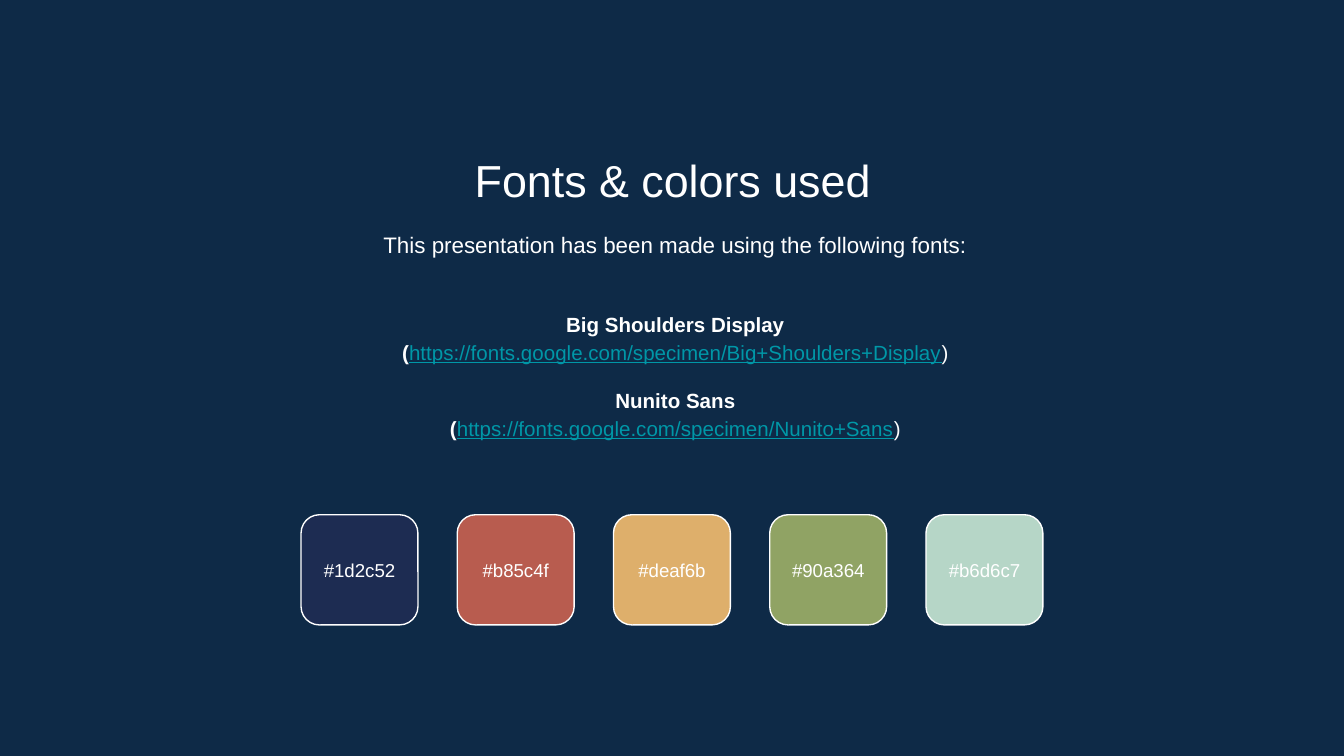
from pptx import Presentation
from pptx.dml.color import RGBColor
from pptx.enum.shapes import MSO_SHAPE
from pptx.enum.text import MSO_ANCHOR, PP_ALIGN
from pptx.util import Inches, Pt

TITLE = "Fonts & colors used"
INTRO = "This presentation has been made using the following fonts:"
FONTS = [
    ("Big Shoulders Display", "https://fonts.google.com/specimen/Big+Shoulders+Display"),
    ("Nunito Sans", "https://fonts.google.com/specimen/Nunito+Sans"),
]
SWATCHES = ["#1d2c52", "#b85c4f", "#deaf6b", "#90a364", "#b6d6c7"]
COLORS = {"back": "0E2A47", "text": "FFFFFF", "link": "0097A7"}

FIRST, LAST = 2.24, 6.89
STEP = (LAST - FIRST) / (len(SWATCHES) - 1)
TOP, WIDE, HIGH = 3.83, 0.87, 0.82
LABEL = 0.48


def rgb(code):
    return RGBColor.from_string(code.lstrip("#").upper())


def add_box(slide, left, top, wide, high, anchor=MSO_ANCHOR.TOP):
    """Add a text box and return its text frame."""
    box = slide.shapes.add_textbox(Inches(left), Inches(top), Inches(wide), Inches(high))
    frame = box.text_frame
    frame.word_wrap = True
    frame.vertical_anchor = anchor
    frame.margin_left = frame.margin_right = Inches(0.1)
    frame.margin_top = frame.margin_bottom = Inches(0.1)
    return frame


def style(para, size, spacing=1.0):
    para.alignment = PP_ALIGN.CENTER
    para.line_spacing = spacing
    para.font.name = "Arial"
    para.font.size = Pt(size)
    para.font.color.rgb = rgb(COLORS["text"])


def add_line(frame, text, size, spacing=1.0):
    para = frame.paragraphs[0]
    para.text = text
    style(para, size, spacing)


def add_run(para, text, bold=False):
    run = para.add_run()
    run.text = text
    run.font.bold = bold
    return run


def add_fonts(frame):
    for i, (name, url) in enumerate(FONTS):
        head = frame.add_paragraph() if i else frame.paragraphs[0]
        if i:
            head.space_before = Pt(10.5)
        style(head, 11, 1.15)
        add_run(head, name, bold=True)

        line = frame.add_paragraph()
        style(line, 11, 1.15)
        add_run(line, "(", bold=True)
        link = add_run(line, url)
        link.font.underline = True
        link.font.color.rgb = rgb(COLORS["link"])
        add_run(line, ")")


def add_swatch(slide, left, code):
    tile = slide.shapes.add_shape(
        MSO_SHAPE.ROUNDED_RECTANGLE,
        Inches(left), Inches(TOP), Inches(WIDE), Inches(HIGH))
    tile.shadow.inherit = False
    tile.fill.solid()
    tile.fill.fore_color.rgb = rgb(code)
    tile.line.color.rgb = rgb(COLORS["text"])
    tile.line.width = Pt(0.75)
    top = TOP + (HIGH - LABEL) / 2
    add_line(add_box(slide, left, top, WIDE, LABEL, MSO_ANCHOR.MIDDLE), code, 10)


def main():
    deck = Presentation()
    deck.slide_width = Inches(10)
    deck.slide_height = deck.slide_width * 9 // 16
    slide = deck.slides.add_slide(deck.slide_layouts[6])
    slide.background.fill.solid()
    slide.background.fill.fore_color.rgb = rgb(COLORS["back"])

    add_line(add_box(slide, 1.15, 1.04, 7.71, 0.53), TITLE, 24)
    add_line(add_box(slide, 1.17, 1.59, 7.71, 0.48), INTRO, 12, 1.15)
    add_fonts(add_box(slide, 1.17, 2.1, 7.71, 1.37, MSO_ANCHOR.MIDDLE))
    for i, code in enumerate(SWATCHES):
        add_swatch(slide, FIRST + i * STEP, code)
    deck.save("out.pptx")


if __name__ == "__main__":
    main()
